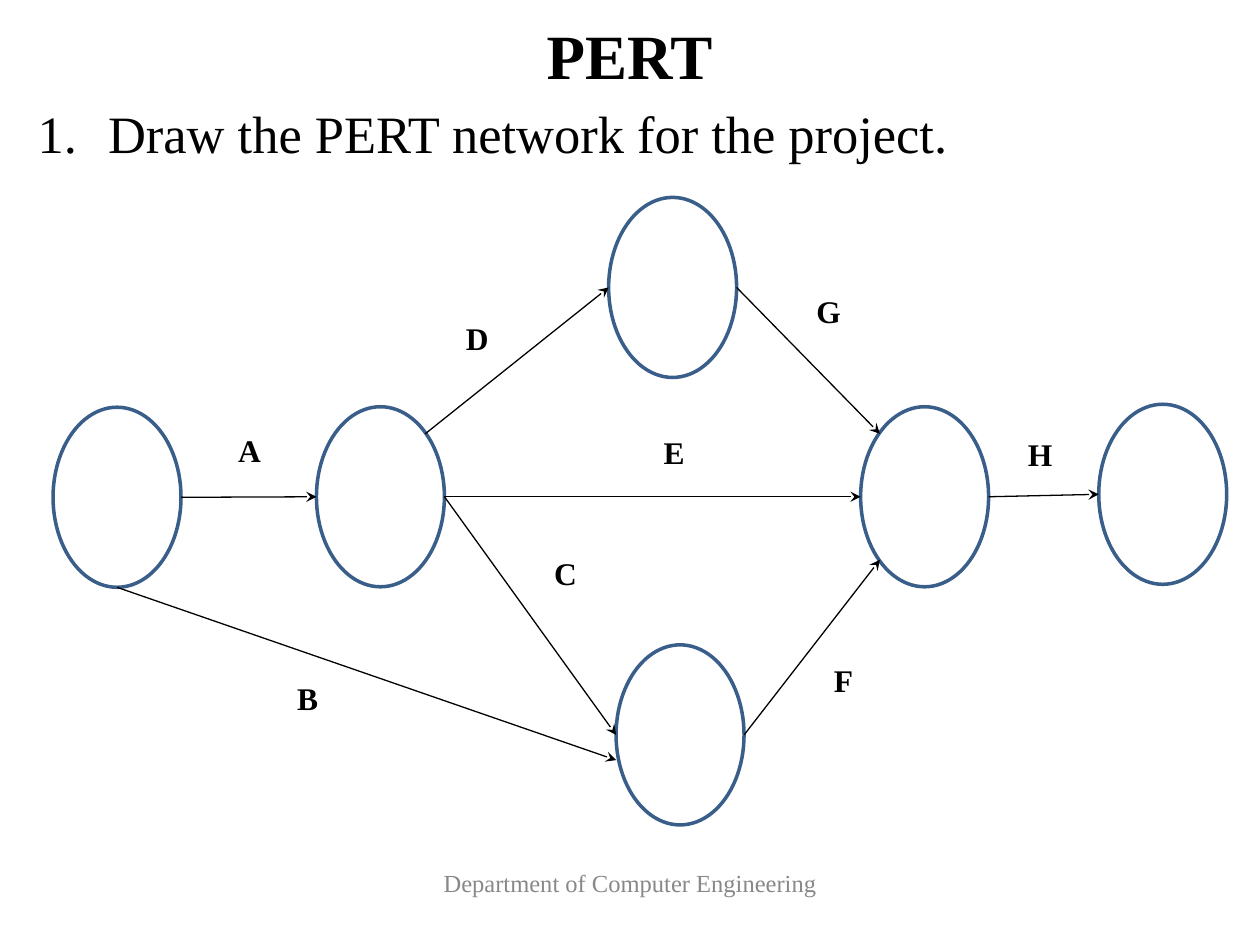
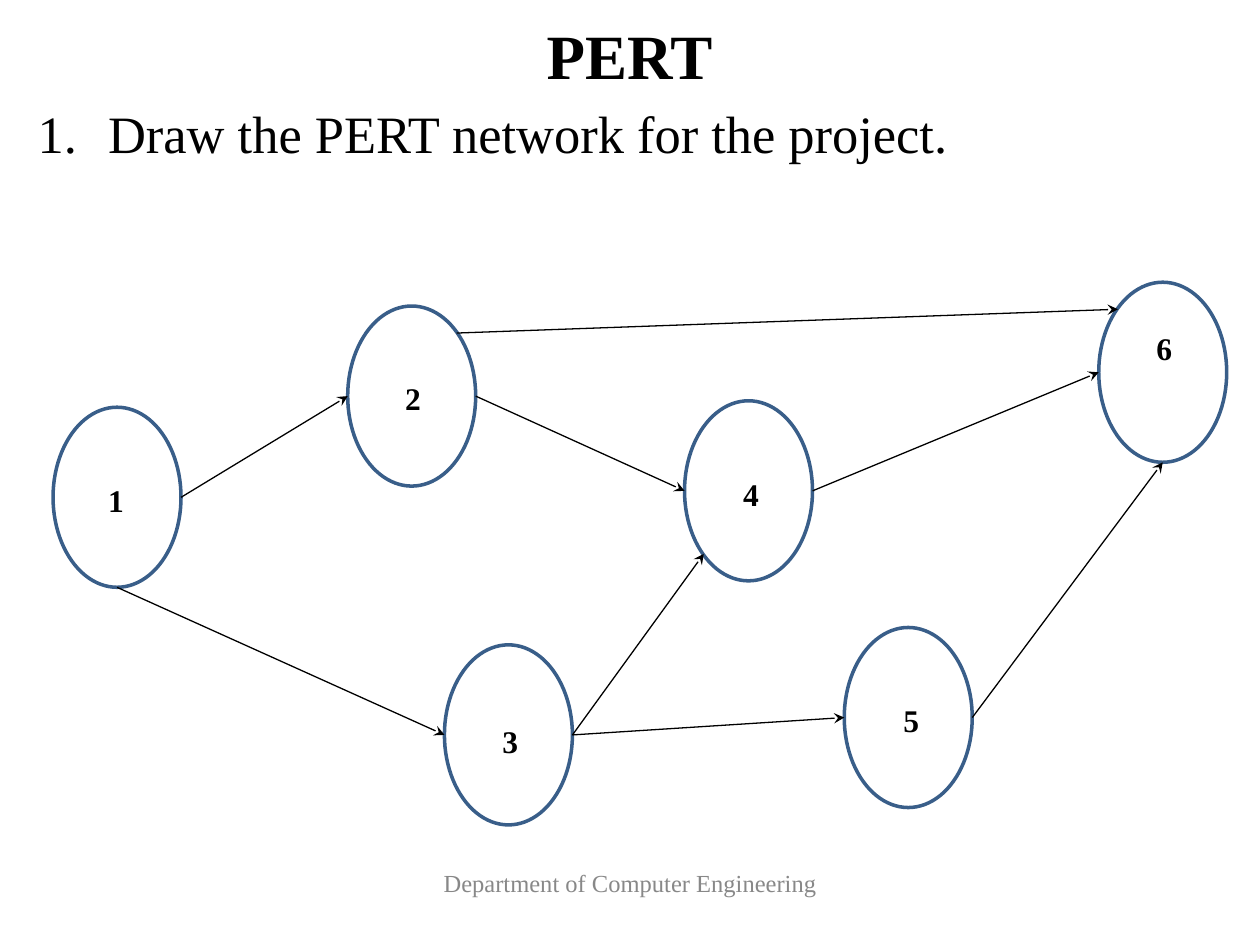
from lxml import etree
from pptx import Presentation
from pptx.dml.color import RGBColor
from pptx.enum.shapes import MSO_CONNECTOR, MSO_SHAPE
from pptx.enum.text import MSO_ANCHOR, MSO_AUTO_SIZE, PP_ALIGN
from pptx.oxml.ns import qn
from pptx.util import Cm, Pt

ELLIPSE = MSO_SHAPE.OVAL
STRAIGHT = MSO_CONNECTOR.STRAIGHT
TOP, MIDDLE = MSO_ANCHOR.TOP, MSO_ANCHOR.MIDDLE
LEFT, CENTER, JUSTIFY = PP_ALIGN.LEFT, PP_ALIGN.CENTER, PP_ALIGN.JUSTIFY
FIXED = MSO_AUTO_SIZE.NONE

FONT = "Times New Roman"
INK, PAPER, NODE_EDGE, FOOTER_GREY = "000000", "FFFFFF", "395E89", "888888"
NODE_WIDTH, NODE_HEIGHT = 2.58, 3.63

# Points on a node: ellipse connection site, then share of width and height
NEAR, FAR = 0.15, 0.85
SITES = {
    "upper left": (1, NEAR, NEAR),
    "left": (2, 0, 0.5),
    "lower left": (3, NEAR, FAR),
    "bottom": (4, 0.5, 1),
    "right": (6, 1, 0.5),
    "upper right": (7, FAR, NEAR),
    "below left": (None, 0, 0.64),
}


def color(hex_string):
    return RGBColor.from_string(hex_string)


class NetworkDeck:
    """Holds the shared style and the slide being built."""

    def __init__(self):
        self.deck = Presentation()
        self.deck.slide_width, self.deck.slide_height = Cm(25.4), Cm(19.05)
        self.slide = None

    def new_slide(self, title, task, footer):
        self.slide = self.deck.slides.add_slide(self.deck.slide_layouts[5])
        heading = self.slide.shapes.title
        heading.left, heading.top = Cm(0.74), Cm(0.18)
        heading.width, heading.height = Cm(23.9), Cm(1.83)
        self.fill_text(heading, title, 36, bold=True, align=CENTER, anchor=MIDDLE)
        self.text(footer, 8.41, 16.92, 8.59, 1.75, 14, hue=FOOTER_GREY,
                  align=CENTER, anchor=MIDDLE)
        self.numbered(task)

    def fill_text(self, shape, words, size, hue=INK, bold=False, align=LEFT, anchor=TOP):
        frame = shape.text_frame
        frame.word_wrap, frame.auto_size = True, FIXED
        frame.vertical_anchor = anchor
        paragraph = frame.paragraphs[0]
        paragraph.alignment = align
        run = paragraph.add_run()
        run.text = words
        run.font.name, run.font.size, run.font.bold = FONT, Pt(size), bold
        run.font.color.rgb = color(hue)
        return paragraph

    def text(self, words, left, top, width, height, size, **style):
        box = self.slide.shapes.add_textbox(Cm(left), Cm(top), Cm(width), Cm(height))
        return self.fill_text(box, words, size, **style)

    def numbered(self, words):
        paragraph = self.text(words, 0.51, 2.06, 24.41, 15.95, 30, align=JUSTIFY)
        paragraph.line_spacing = 0.9
        properties = paragraph._p.get_or_add_pPr()
        properties.set("marL", str(Cm(1.42)))
        properties.set("indent", str(-Cm(1.42)))
        tint = etree.SubElement(properties, qn("a:buClr"))
        etree.SubElement(tint, qn("a:srgbClr"), val=INK)
        etree.SubElement(properties, qn("a:buFont"), typeface=FONT)
        etree.SubElement(properties, qn("a:buAutoNum"), type="arabicPeriod")

    def node(self, left, top):
        event = self.slide.shapes.add_shape(
            ELLIPSE, Cm(left), Cm(top), Cm(NODE_WIDTH), Cm(NODE_HEIGHT))
        event.shadow.inherit = False
        event.fill.solid()
        event.fill.fore_color.rgb = color(PAPER)
        event.line.color.rgb = color(NODE_EDGE)
        event.line.width = Pt(2)
        return event

    def arrow(self, source, source_side, target, target_side):
        ends = [(source, *SITES[source_side]), (target, *SITES[target_side])]
        points = []
        for event, _, across, down in ends:
            points += [int(event.left + across * event.width),
                       int(event.top + down * event.height)]
        activity = self.slide.shapes.add_connector(STRAIGHT, *points)
        activity.line.color.rgb = color(INK)
        activity.line.width = Pt(0.75)
        properties = activity._element.spPr
        etree.SubElement(properties.find(qn("a:ln")), qn("a:tailEnd"), type="stealth")
        etree.SubElement(properties, qn("a:effectLst"))
        # Glue the ends to the nodes
        glue = activity._element.find(".//" + qn("p:cNvCxnSpPr"))
        for tag, (event, site, _, _) in zip(("a:stCxn", "a:endCxn"), ends):
            if site is not None:
                etree.SubElement(glue, qn(tag), id=str(event.shape_id), idx=str(site))

    def network(self, places, arrows, labels):
        events = {name: self.node(*place) for name, place in places.items()}
        for source, source_side, target, target_side in arrows:
            self.arrow(events[source], source_side, events[target], target_side)
        for words, (left, top, width) in labels.items():
            self.text(words, left, top, width, 1.02, 18, bold=True)


# Activities on arrows, with unnamed events
ACTIVITY_NETWORK = {
    "places": {
        "start": (1.07, 8.21), "fork": (6.38, 8.2), "upper": (12.27, 3.98),
        "join": (17.35, 8.2), "finish": (22.15, 8.15), "lower": (12.42, 13),
    },
    "arrows": [
        ("start", "right", "fork", "left"),
        ("fork", "right", "lower", "left"),
        ("start", "bottom", "lower", "below left"),
        ("fork", "right", "join", "left"),
        ("join", "right", "finish", "left"),
        ("fork", "upper right", "upper", "left"),
        ("upper", "right", "join", "upper left"),
        ("lower", "right", "join", "lower left"),
    ],
    "labels": {
        "A": (4.55, 8.56, 1), "F": (16.56, 13.21, 1), "G": (16.21, 5.77, 1.02),
        "C": (10.92, 11.05, 1), "E": (13.13, 8.61, 1), "B": (5.74, 13.56, 1),
        "D": (9.14, 6.3, 1), "H": (20.47, 8.64, 1.02),
    },
}

# Numbered events
EVENT_NETWORK = {
    "places": {
        1: (1.07, 8.21), 2: (7.01, 6.17), 3: (8.96, 13),
        4: (13.8, 8.08), 5: (17.02, 12.65), 6: (22.15, 5.69),
    },
    "arrows": [
        (1, "right", 2, "left"),
        (1, "bottom", 3, "left"),
        (2, "right", 4, "left"),
        (3, "right", 4, "lower left"),
        (3, "right", 5, "left"),
        (4, "right", 6, "left"),
        (2, "upper right", 6, "upper left"),
        (5, "right", 6, "bottom"),
    ],
    "labels": {
        "1": (1.93, 9.58, 2.44), "5": (17.96, 14, 0.84), "6": (23.06, 6.5, 1.78),
        "3": (9.88, 14.43, 2.74), "2": (7.92, 7.52, 3.86), "4": (14.73, 9.45, 3.89),
    },
}


def main():
    pert = NetworkDeck()
    for network in (ACTIVITY_NETWORK, EVENT_NETWORK):
        pert.new_slide("PERT", "Draw the PERT network for the project.",
                       "Department of Computer Engineering")
        pert.network(**network)
    pert.deck.save("out.pptx")


if __name__ == "__main__":
    main()
